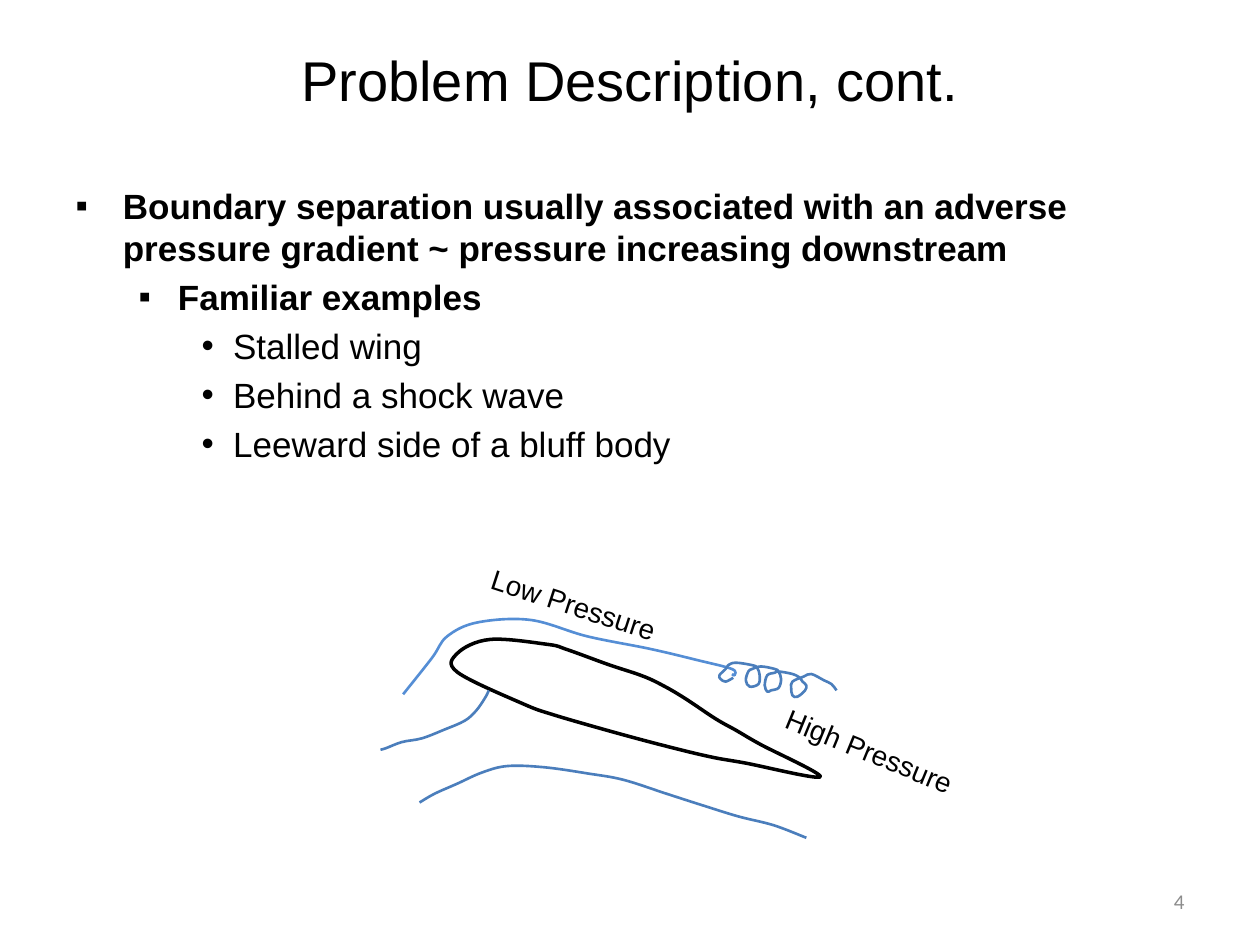
import math

import lxml.etree
import pptx
import pptx.dml.color
import pptx.enum.text
import pptx.oxml.ns
import pptx.util

Cm = pptx.util.Cm
Pt = pptx.util.Pt
qn = pptx.oxml.ns.qn


def color(hex_code):
    return pptx.dml.color.RGBColor.from_string(hex_code)


def round_segments(shape, closed):
    corners = list(shape._element.iter(qn("a:pt")))
    points = [(int(corner.get("x")), int(corner.get("y"))) for corner in corners]
    before = points[-2] if closed else points[0]
    after = points[1] if closed else points[-1]
    padded = [before, *points, after]
    for index, corner in enumerate(corners[1:]):
        a, b, c, d = padded[index:index + 4]
        controls = [
            [q + (r - p) / 6 for p, q, r in zip(a, b, c)],
            [q - (r - p) / 6 for p, q, r in zip(b, c, d)],
        ]
        segment = corner.getparent()
        bezier = lxml.etree.Element(qn("a:cubicBezTo"))
        for x, y in controls:
            control = lxml.etree.SubElement(bezier, qn("a:pt"))
            control.set("x", str(round(x)))
            control.set("y", str(round(y)))
        bezier.append(corner)
        segment.getparent().replace(segment, bezier)


deck = pptx.Presentation()
deck.slide_width = Cm(25.4)
deck.slide_height = Cm(19.05)
slide = deck.slides.add_slide(deck.slide_layouts[1])

title = slide.shapes.title
title.left, title.top, title.width, title.height = Cm(1.27), Cm(0), Cm(22.86), Cm(3.18)
title.text_frame.text = "Problem Description, cont."
para = title.text_frame.paragraphs[0]
para.font.size = Pt(32)
para.font.name = "Arial"
para.font.color.rgb = color("000000")

body = slide.placeholders[1]
body.left, body.top, body.width, body.height = Cm(1.27), Cm(3.6), Cm(22.86), Cm(12.57)
bullets = [
    (0, "Boundary separation usually associated with an adverse pressure gradient ~ "
        "pressure increasing downstream"),
    (1, "Familiar examples"),
    (2, "Stalled wing"),
    (2, "Behind a shock wave"),
    (2, "Leeward side of a bluff body"),
]
for index, (level, text) in enumerate(bullets):
    para = body.text_frame.paragraphs[0] if index == 0 else body.text_frame.add_paragraph()
    para.text = text
    para.level = level
    if index == 0:
        para.space_before = Pt(0)
    properties = para._p.get_or_add_pPr()
    for tag, key, value in (("a:buFont", "typeface", "Arial"),
                            ("a:buChar", "char", "•" if level == 2 else "▪")):
        lxml.etree.SubElement(properties, qn(tag)).set(key, value)
    para.font.size = Pt(20)
    para.font.name = "Arial"
    para.font.bold = level < 2
    para.font.color.rgb = color("000000")

airfoil = [
    (363, 519), (389, 508), (435, 512), (450, 516), (483, 528), (510, 537), (527, 545),
    (544, 555), (568, 571), (584, 580), (603, 591), (651, 617), (591, 606), (563, 601),
    (526, 592), (485, 581), (440, 568), (415, 559), (363, 534), (363, 519),
]
upper_stream = [
    (320, 551), (343, 522), (355, 505), (379, 494), (421, 492), (466, 505), (516, 515),
    (554, 524), (581, 531), (583, 536), (581, 535),
]
vortices = [
    (582, 538), (576, 541), (572, 539), (571, 536), (576, 531), (578, 528), (584, 526),
    (597, 528), (601, 530), (603, 536), (602, 543), (595, 545), (592, 540), (594, 533),
    (597, 531), (604, 529), (615, 531), (618, 533), (620, 539), (618, 546), (612, 548),
    (609, 549), (607, 544), (609, 536), (615, 534), (618, 533), (629, 535), (635, 538),
    (637, 541), (640, 544), (639, 548), (633, 553), (629, 552), (628, 546), (629, 541),
    (638, 537), (644, 535), (654, 540), (660, 543), (664, 548),
]
lower_stream = [
    (333, 637), (345, 630), (363, 622), (383, 613), (403, 608), (432, 609), (467, 614),
    (495, 619), (529, 630), (557, 639), (586, 648), (614, 655), (640, 665),
]
stagnation_stream = [
    (388, 548), (385, 554), (378, 564), (369, 572), (353, 579), (335, 586), (319, 589),
    (306, 594), (302, 595),
]
airfoil_angle = 16.4
cosine, sine = math.cos(math.radians(airfoil_angle)), math.sin(math.radians(airfoil_angle))
center_x, center_y = 507.5, 560.5
level_airfoil = [
    (center_x + (x - center_x) * cosine + (y - center_y) * sine,
     center_y - (x - center_x) * sine + (y - center_y) * cosine)
    for x, y in airfoil
]
curves = [
    (level_airfoil, True, "000000", 2, airfoil_angle),
    (upper_stream, False, "558ED5", 1.5, 0),
    (vortices, False, "4B7EBC", 1.5, 0),
    (lower_stream, False, "4B7EBC", 1.5, 0),
    (stagnation_stream, False, "4B7EBC", 1.5, 0),
]
for anchors, closed, line_color, width, angle in curves:
    points = [(x * 100, y * 100) for x, y in anchors]
    builder = slide.shapes.build_freeform(*points[0], scale=Cm(2.54) / 10000)
    builder.add_line_segments(points[1:], close=closed)
    curve = builder.convert_to_shape()
    round_segments(curve, closed)
    curve.rotation = angle
    curve.shadow.inherit = False
    curve.line.color.rgb = color(line_color)
    curve.line.width = Pt(width)
    if closed:
        curve.fill.solid()
        curve.fill.fore_color.rgb = color("FFFFFF")
    else:
        curve.fill.background()

align = pptx.enum.text.PP_ALIGN
anchor = pptx.enum.text.MSO_ANCHOR
labels = [
    ("Low Pressure", 9.58, 11.8, 4.45, 0.94, 18, "Arial", 16, "000000", align.LEFT, anchor.TOP),
    ("High Pressure", 15.47, 14.78, 4.65, 0.94, 22.3, "Arial", 16, "000000", align.LEFT, anchor.TOP),
    ("4", 18.2, 17.66, 5.93, 1.01, 0, "Calibri", 12, "8C8C8C", align.RIGHT, anchor.MIDDLE),
]
for text, left, top, width, height, angle, font, size, font_color, alignment, position in labels:
    box = slide.shapes.add_textbox(Cm(left), Cm(top), Cm(width), Cm(height))
    box.rotation = angle
    box.text_frame.word_wrap = True
    box.text_frame.vertical_anchor = position
    para = box.text_frame.paragraphs[0]
    para.text = text
    para.alignment = alignment
    para.font.name = font
    para.font.size = Pt(size)
    para.font.color.rgb = color(font_color)

deck.save("out.pptx")
